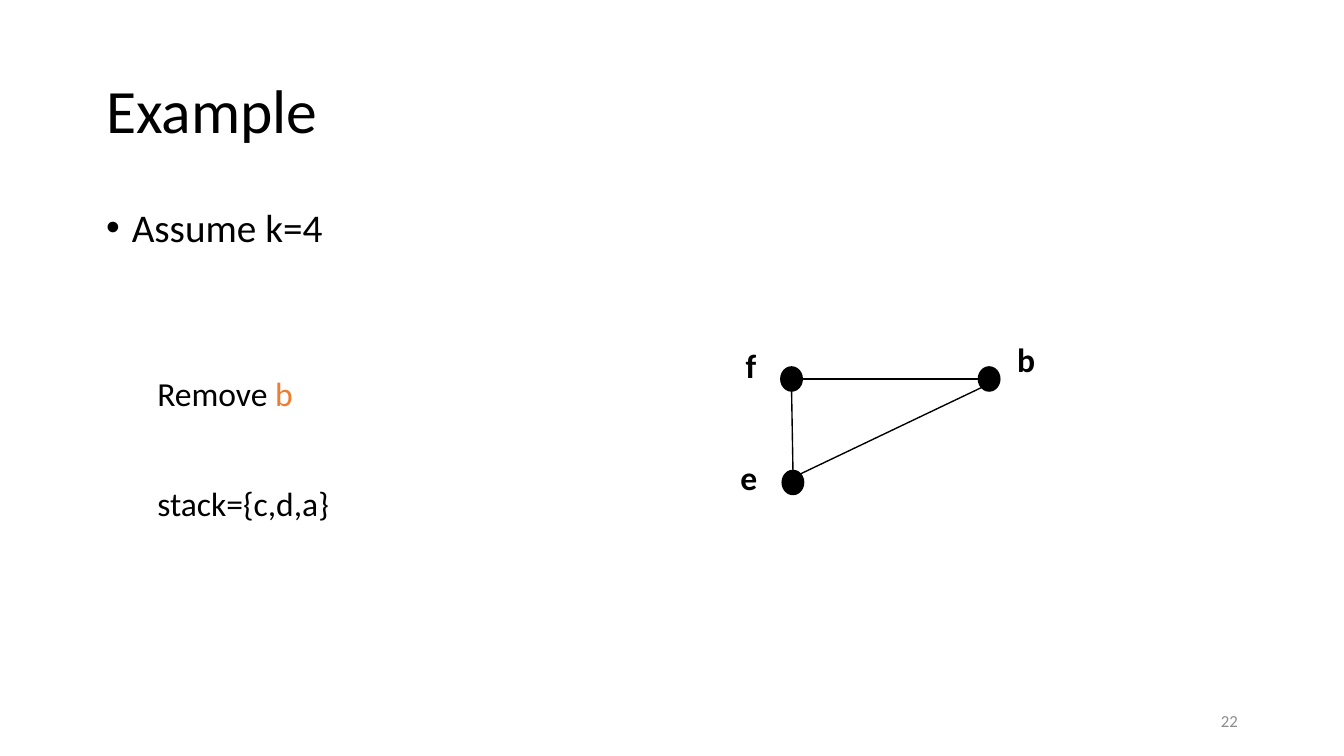
from dataclasses import dataclass
from math import cos, radians, sin

from lxml.etree import SubElement
from pptx import Presentation
from pptx.dml.color import RGBColor
from pptx.enum.shapes import MSO_CONNECTOR as Connector, MSO_SHAPE as Shape
from pptx.enum.text import MSO_ANCHOR as Anchor, MSO_AUTO_SIZE as AutoSize, PP_ALIGN as Align
from pptx.oxml.ns import qn
from pptx.util import Inches, Pt


@dataclass(frozen=True)
class Theme:
    font: str = "Calibri"
    ink: str = "000000"
    accent: str = "ED7D31"
    muted: str = "8C8C8C"
    title: float = 33
    bullet: float = 21
    text: float = 18
    number: float = 9
    line: float = 0.75


@dataclass(frozen=True)
class Item:
    runs: tuple[tuple[str, str], ...]
    size: float
    level: int
    before: float
    margin: float
    bullet: str = ""


@dataclass(frozen=True)
class Node:
    name: str
    x: float
    y: float
    label_x: float
    label_y: float
    label_w: float

    def site(self, degrees: float) -> tuple[float, float]:
        """Point on the rim, counted clockwise from the right."""
        a = radians(degrees)
        return (self.x + NODE_W / 2 * (1 + cos(a)), self.y + NODE_H / 2 * (1 + sin(a)))


THEME = Theme()
NODE_W, NODE_H = 0.16, 0.18
LINE_SPACING, AFTER, BEFORE = 0.9, 6, 3.8
ROW = 29.2  # points taken by one skipped row of the list

ITEMS = (
    Item((("Assume k=4", THEME.ink),), THEME.bullet, 0, 0, 0.19, "•"),
    Item((("Remove ", THEME.ink), ("b", THEME.accent)), THEME.text, 1, BEFORE + 2 * ROW, 0.38),
    Item((("stack={c,d,a}", THEME.ink),), THEME.text, 1, BEFORE + ROW, 0.38),
)
B = Node("b", 7.28, 2.73, 7.47, 2.47, 0.64)
F = Node("f", 5.81, 2.73, 5.45, 2.52, 0.69)
E = Node("e", 5.82, 3.5, 5.41, 3.35, 0.63)
# Each edge: node and rim angle at both ends
EDGES = ((E, 270, F, 90), (B, 180, F, 0), (B, 135, E, 315))


def style(r, size: float, color: str, bold: bool = False) -> None:
    r.font.name = THEME.font
    r.font.size = Pt(size)
    r.font.bold = bold
    r.font.color.rgb = RGBColor.from_string(color)


def place(sp, x: float, y: float, w: float, h: float, anchor: Anchor):
    sp.left, sp.top, sp.width, sp.height = map(Inches, (x, y, w, h))
    tf = sp.text_frame
    tf.word_wrap = True
    tf.auto_size = AutoSize.NONE
    tf.vertical_anchor = anchor
    return tf


def add_item(p, item: Item) -> None:
    p.level = item.level
    p.alignment = Align.LEFT
    p.line_spacing = LINE_SPACING
    p.space_before, p.space_after = Pt(item.before), Pt(AFTER)
    pPr = p._p.get_or_add_pPr()
    pPr.set("marL", str(Inches(item.margin)))
    pPr.set("indent", str(-Inches(item.margin) if item.bullet else 0))
    if item.bullet:
        SubElement(pPr, qn("a:buFont"), typeface="Arial")
        SubElement(pPr, qn("a:buChar"), char=item.bullet)
    else:
        SubElement(pPr, qn("a:buNone"))
    for text, color in item.runs:
        r = p.add_run()
        r.text = text
        style(r, item.size, color)


def add_node(shapes, node: Node) -> None:
    group = shapes.add_group_shape().shapes
    dot = group.add_shape(Shape.OVAL, *map(Inches, (node.x, node.y, NODE_W, NODE_H)))
    dot.shadow.inherit = False
    dot.fill.solid()
    dot.fill.fore_color.rgb = RGBColor.from_string(THEME.ink)
    dot.line.color.rgb = RGBColor.from_string(THEME.ink)
    dot.line.width = Pt(THEME.line)
    label = group.add_textbox(*map(Inches, (node.label_x, node.label_y, node.label_w, 0.4)))
    tf = label.text_frame
    tf.word_wrap = True
    tf.text = node.name
    style(tf.paragraphs[0].runs[0], THEME.text, THEME.ink, bold=True)


def add_edge(shapes, start: Node, start_angle: float, end: Node, end_angle: float) -> None:
    points = start.site(start_angle) + end.site(end_angle)
    line = shapes.add_connector(Connector.STRAIGHT, *map(Inches, points))
    line.line.color.rgb = RGBColor.from_string(THEME.ink)
    line.line.width = Pt(THEME.line)
    SubElement(line._element.spPr, qn("a:effectLst"))


def main() -> None:
    prs = Presentation()
    prs.slide_width = Inches(10)
    prs.slide_height = prs.slide_width * 9 // 16
    s = prs.slides.add_slide(prs.slide_layouts[1])

    # Title
    tf = place(s.shapes.title, 0.69, 0.3, 8.62, 1.09, Anchor.MIDDLE)
    tf.text = "Example"
    p = tf.paragraphs[0]
    p.alignment, p.line_spacing = Align.LEFT, LINE_SPACING
    style(p.runs[0], THEME.title, THEME.ink)

    # List
    tf = place(s.placeholders[1], 0.69, 1.5, 8.62, 3.57, Anchor.TOP)
    for i, item in enumerate(ITEMS):
        add_item(tf.add_paragraph() if i else tf.paragraphs[0], item)

    # Slide number
    tf = place(s.shapes.add_textbox(0, 0, 0, 0), 7.06, 5.21, 2.25, 0.3, Anchor.MIDDLE)
    tf.text = "22"
    tf.paragraphs[0].alignment = Align.RIGHT
    style(tf.paragraphs[0].runs[0], THEME.number, THEME.muted)

    # Interference graph
    for node in (B, F, E):
        add_node(s.shapes, node)
    for edge in EDGES:
        add_edge(s.shapes, *edge)

    prs.save("out.pptx")


if __name__ == "__main__":
    main()
